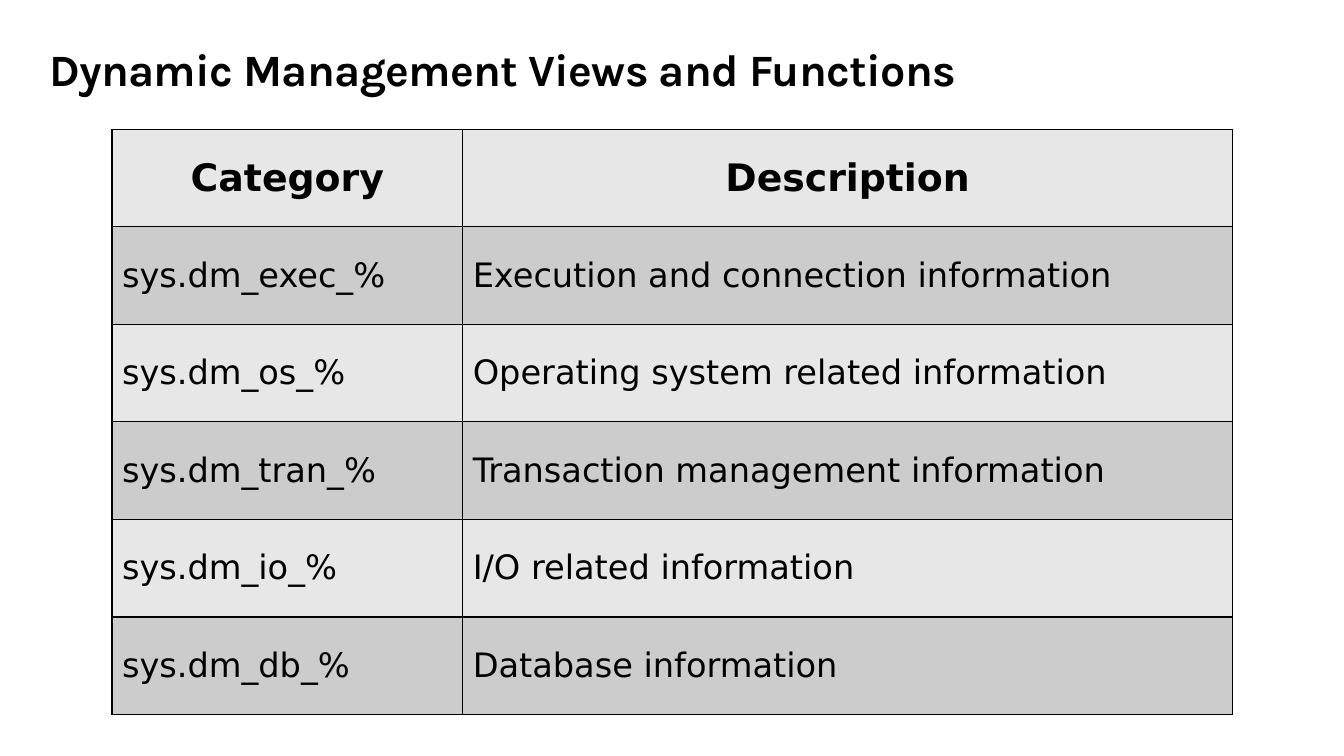
from dataclasses import dataclass

import pptx
import pptx.dml.color
import pptx.enum.text
import pptx.oxml
import pptx.oxml.ns
import pptx.util

Pt = pptx.util.Pt
ALIGN = pptx.enum.text.PP_ALIGN
ANCHOR = pptx.enum.text.MSO_ANCHOR

BLACK = "000000"
LIGHT = "E7E7E7"
DARK = "CCCCCC"
WIDTHS = (250.5, 550)
HEIGHT = 69.7


@dataclass(frozen=True)
class Entry:
    label: str
    detail: str


HEADER = Entry("Category", "Description")
VIEWS = (
    Entry("sys.dm_exec_%", "Execution and connection information"),
    Entry("sys.dm_os_%", "Operating system related information"),
    Entry("sys.dm_tran_%", "Transaction management information"),
    Entry("sys.dm_io_%", "I/O related information"),
    Entry("sys.dm_db_%", "Database information"),
)


def color(code: str) -> pptx.dml.color.RGBColor:
    return pptx.dml.color.RGBColor.from_string(code)


def write(frame, text: str, *, size: float, font: str = "DejaVu Sans",
          bold: bool = False, align=ALIGN.LEFT, leading: float | None = None,
          spacing: float = 0) -> None:
    line = frame.paragraphs[0]
    line.alignment = align
    if leading:
        line.line_spacing = Pt(leading)
    run = line.add_run()
    run.text = text
    run.font.name = font
    run.font.size = Pt(size)
    run.font.bold = bold
    run.font.color.rgb = color(BLACK)
    if spacing:
        run.font._element.set("spc", str(int(spacing * 100)))


def border(cell) -> None:
    props = cell._tc.get_or_add_tcPr()
    space = pptx.oxml.ns.nsdecls("a")
    for place, side in enumerate(("lnL", "lnR", "lnT", "lnB")):
        edge = pptx.oxml.parse_xml(
            f'<a:{side} {space} w="{Pt(1)}"><a:solidFill>'
            f'<a:srgbClr val="{BLACK}"/></a:solidFill></a:{side}>'
        )
        props.insert(place, edge)


def title(slide) -> None:
    box = slide.shapes.add_textbox(Pt(28), Pt(29.5), Pt(918), Pt(36))
    frame = box.text_frame
    frame.word_wrap = True
    write(frame, "Dynamic Management Views and Functions", size=32,
          font="Karla", bold=True, leading=35, spacing=-0.5)


def grid(slide, entries: tuple[Entry, ...]) -> None:
    count = len(entries)
    table = slide.shapes.add_table(
        count, len(WIDTHS), Pt(80), Pt(92.3), Pt(sum(WIDTHS)), Pt(HEIGHT * count)
    ).table
    for column, width in zip(table.columns, WIDTHS):
        column.width = Pt(width)
    for index, entry in enumerate(entries):
        table.rows[index].height = Pt(HEIGHT)
        head = index == 0
        for cell, text in zip(table.rows[index].cells, (entry.label, entry.detail)):
            cell.fill.solid()
            cell.fill.fore_color.rgb = color(DARK if index % 2 else LIGHT)
            cell.vertical_anchor = ANCHOR.MIDDLE
            border(cell)
            write(cell.text_frame, text, size=27 if head else 24, bold=head,
                  align=ALIGN.CENTER if head else ALIGN.LEFT)


def main() -> None:
    deck = pptx.Presentation()
    deck.slide_width = Pt(960)
    deck.slide_height = Pt(540)
    slide = deck.slides.add_slide(deck.slide_layouts[6])
    title(slide)
    grid(slide, (HEADER, *VIEWS))
    deck.save("out.pptx")


if __name__ == "__main__":
    main()
